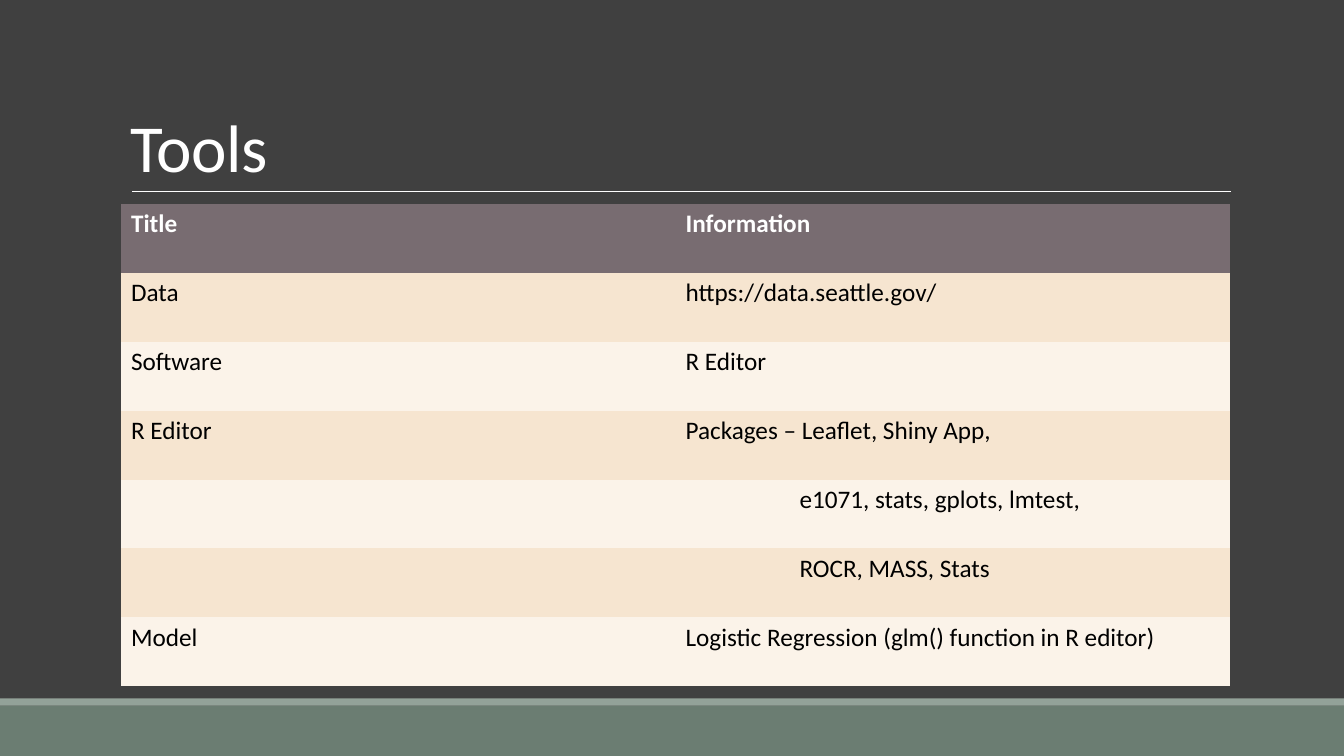
from dataclasses import dataclass

from pptx import Presentation
from pptx import util as u
from pptx.dml.color import RGBColor
from pptx.enum import shapes, text
from pptx.oxml import ns
from lxml import etree


@dataclass(frozen=True)
class Theme:
    font: str = "Calibri"
    title_size: int = 48
    table_size: int = 18
    background: str = "404040"
    footer: str = "6B7D72"
    footer_edge: str = "93A299"
    light: str = "FFFFFF"
    dark: str = "000000"
    header: str = "786C71"
    bands: tuple = ("F6E5D0", "FBF3E9")
    plain_table: str = "{2D5ABB26-0587-4C30-8999-92F81FD0307C}"


class ToolsSlide:
    """Draws styled elements on one slide."""

    def __init__(self, slide, theme):
        self.slide = slide
        self.theme = theme
        self.paint(slide.background.fill, theme.background)

    def paint(self, fill, color):
        fill.solid()
        fill.fore_color.rgb = RGBColor.from_string(color)

    def add_words(self, paragraph, words, size, color, bold=False):
        run = paragraph.add_run()
        run.text = words
        run.font.name = self.theme.font
        run.font.size = u.Pt(size)
        run.font.bold = bold
        run.font.color.rgb = RGBColor.from_string(color)
        return run

    def bar(self, top, height, color):
        bar = self.slide.shapes.add_shape(
            shapes.MSO_SHAPE.RECTANGLE, 0, u.Inches(top), u.Inches(13.33), u.Inches(height))
        bar.shadow.inherit = False
        self.paint(bar.fill, color)
        bar.line.fill.background()

    def rule(self, left, right, y):
        rule = self.slide.shapes.add_connector(
            shapes.MSO_CONNECTOR.STRAIGHT,
            u.Inches(left), u.Inches(y), u.Inches(right), u.Inches(y))
        rule.line.width = u.Pt(0.5)
        rule.line.color.rgb = RGBColor.from_string(self.theme.light)
        etree.SubElement(rule._element.spPr, ns.qn("a:effectLst"))

    def title(self, words, left, top, width, height):
        heading = self.slide.shapes.add_textbox(
            u.Inches(left), u.Inches(top), u.Inches(width), u.Inches(height)).text_frame
        heading.word_wrap = True
        heading.vertical_anchor = text.MSO_ANCHOR.BOTTOM
        paragraph = heading.paragraphs[0]
        paragraph.line_spacing = 0.85
        run = self.add_words(paragraph, words, self.theme.title_size, self.theme.light)
        run.font._element.set("spc", "-50")

    def table(self, rows, left, top, width, height):
        frame = self.slide.shapes.add_table(
            len(rows), len(rows[0]),
            u.Inches(left), u.Inches(top), u.Inches(width), u.Inches(height))
        tools = frame.table
        tools._tbl.tblPr.find(ns.qn("a:tableStyleId")).text = self.theme.plain_table
        for row_index, row in enumerate(rows):
            is_header = row_index == 0
            fill = self.theme.header if is_header else self.theme.bands[(row_index - 1) % 2]
            color = self.theme.light if is_header else self.theme.dark
            for column_index, words in enumerate(row):
                cell = tools.cell(row_index, column_index)
                self.paint(cell.fill, fill)
                if words:
                    self.add_words(cell.text_frame.paragraphs[0], words,
                                   self.theme.table_size, color, is_header)
                if not row[0]:
                    cell.margin_left = u.Inches(1.23)


TOOLS = [
    ("Title", "Information"),
    ("Data", "https://data.seattle.gov/"),
    ("Software", "R Editor"),
    ("R Editor", "Packages – Leaflet, Shiny App,"),
    ("", "e1071, stats, gplots, lmtest,"),
    ("", "ROCR, MASS, Stats"),
    ("Model", "Logistic Regression (glm() function in R editor)"),
]


def main():
    deck = Presentation()
    deck.slide_width, deck.slide_height = u.Inches(13.33), u.Inches(7.5)
    theme = Theme()
    page = ToolsSlide(deck.slides.add_slide(deck.slide_layouts[6]), theme)
    page.bar(7, 0.5, theme.footer)
    page.bar(6.93, 0.07, theme.footer_edge)
    page.rule(1.31, 12.21, 1.9)
    page.title("Tools", 1.2, 0.31, 11, 1.59)
    page.table(TOOLS, 1.2, 2.02, 11, 4.79)
    deck.save("out.pptx")


if __name__ == "__main__":
    main()
